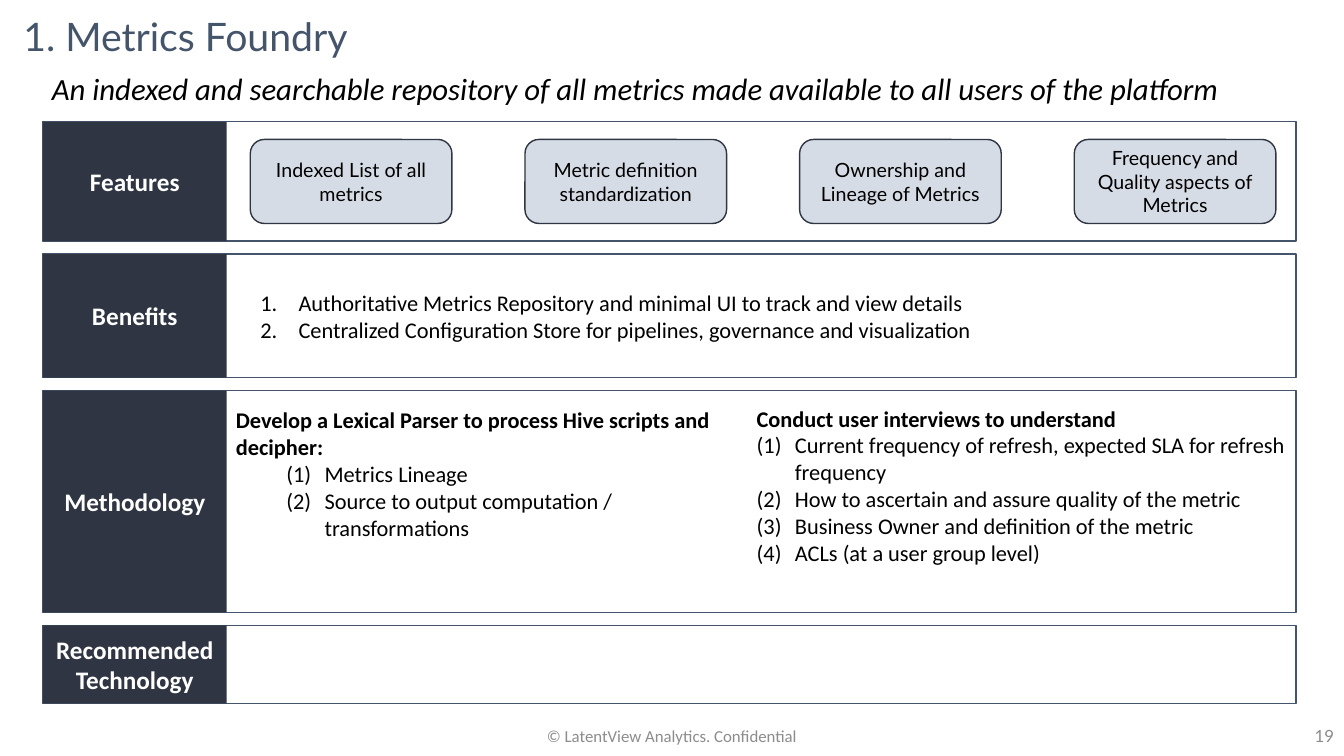
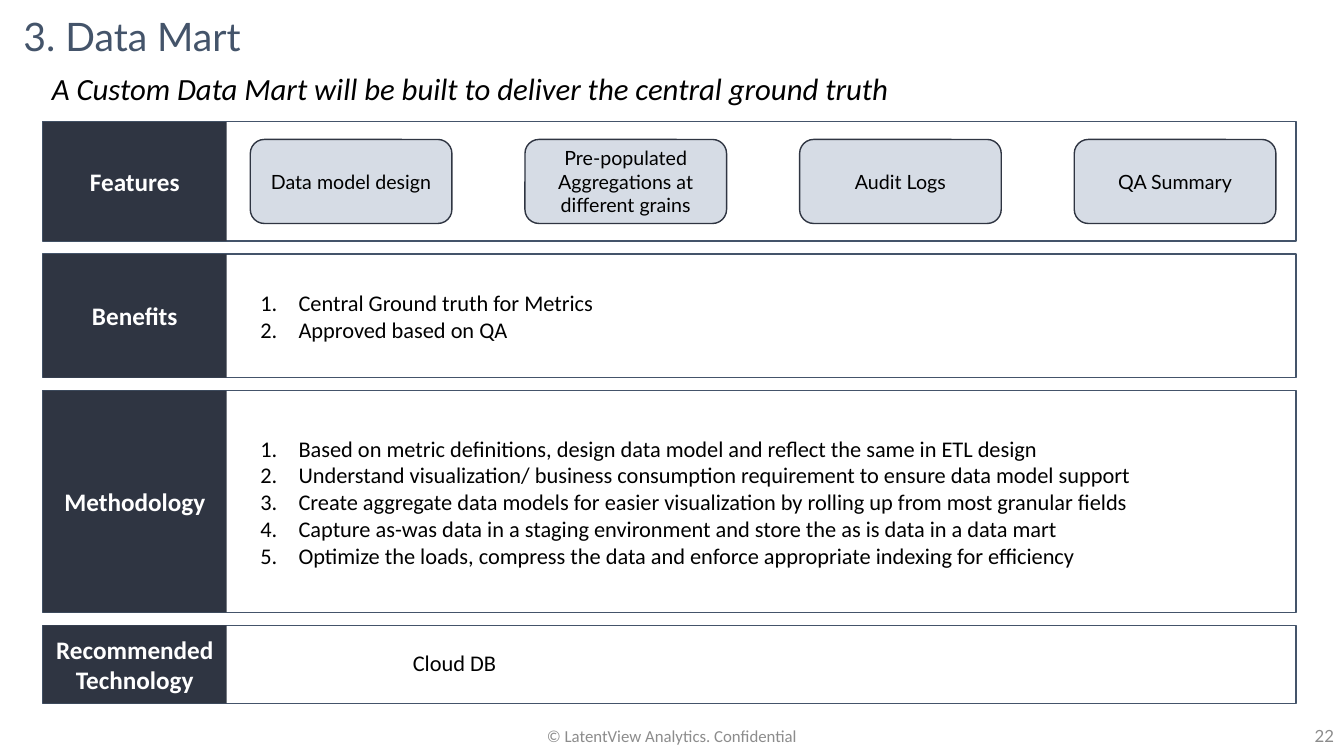
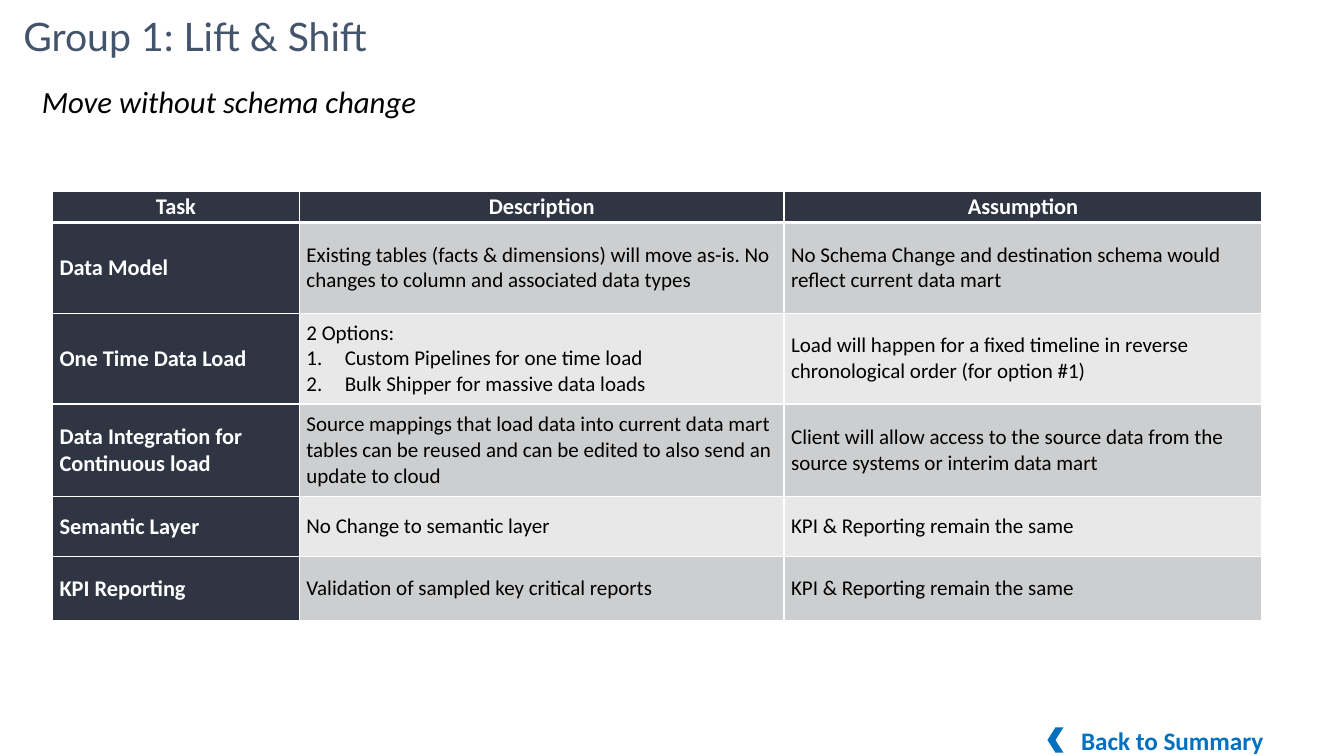
import lxml.etree
import pptx
import pptx.dml.color
import pptx.enum.shapes
import pptx.enum.text
import pptx.oxml.ns
import pptx.util

COLOURS = {
    "title": "44546A", "dark": "2F3542", "chip": "D6DCE5", "text": "000000",
    "white": "FFFFFF", "footer": "8C8C8C", "link": "0070C0",
    "row_odd": "CDCECF", "row_even": "E8E8E9",
}
RGB = {name: pptx.dml.color.RGBColor.from_string(value) for name, value in COLOURS.items()}
SHAPE = pptx.enum.shapes.MSO_SHAPE
ALIGN = pptx.enum.text.PP_ALIGN
ANCHOR = pptx.enum.text.MSO_ANCHOR
qn = pptx.oxml.ns.qn

deck = pptx.Presentation()
deck.slide_width = pptx.util.Inches(13.333)
deck.slide_height = pptx.util.Inches(7.5)
COLUMN = deck.slide_width / 160
ROW = deck.slide_height / 90


def place(slide, kind, left, top, columns, rows, fill=None, line=None):
    area = [round(n) for n in (left * COLUMN, top * ROW, columns * COLUMN, rows * ROW)]
    if kind is None:
        return slide.shapes.add_textbox(*area)
    shape = slide.shapes.add_shape(kind, *area)
    shape.shadow.inherit = False
    if fill:
        shape.fill.solid()
        shape.fill.fore_color.rgb = RGB[fill]
    else:
        shape.fill.background()
    if line:
        shape.line.color.rgb = RGB[line]
        shape.line.width = pptx.util.Pt(1)
    else:
        shape.line.fill.background()
    return shape


def write(frame, lines, size, colour="text", font="Calibri", bold=False, italic=False,
          align=ALIGN.LEFT, anchor=ANCHOR.MIDDLE, numbering=None, lead=0, indent=0.38):
    frame.word_wrap = True
    frame.vertical_anchor = anchor
    for index, line in enumerate(lines):
        paragraph = frame.paragraphs[0] if index == 0 else frame.add_paragraph()
        paragraph.text = line
        paragraph.alignment = align
        if numbering and index >= lead:
            properties = paragraph._p.get_or_add_pPr()
            properties.set("marL", str(pptx.util.Inches(indent)))
            properties.set("indent", str(-pptx.util.Inches(0.38)))
            lxml.etree.SubElement(properties, qn("a:buAutoNum"), type=numbering)
        paragraph.font.name = font
        paragraph.font.size = pptx.util.Pt(size)
        paragraph.font.bold = bold
        paragraph.font.italic = italic
        paragraph.font.color.rgb = RGB[colour]


titles = ["1. Metrics Foundry", "3. Data Mart", "Group 1: Lift & Shift"]
slides = []
for title in titles:
    slide = deck.slides.add_slide(deck.slide_layouts[6])
    heading = place(slide, None, 1.6, 0, 147, 9.2).text_frame
    write(heading, [title], 28, "title", "Lato")
    heading.paragraphs[0].line_spacing = 0.9
    slides.append(slide)

bands = [("Features", 14.2), ("Benefits", 14.7), ("Methodology", 26.4),
         ("Recommended Technology", 9.3)]
BAND_LEFT, BAND_TOP, BAND_GAP = 5.1, 14.5, 1.55

pages = [
    {
        "number": "19",
        "summary": "An indexed and searchable repository of all metrics made available to all users of the platform",
        "features": ["Indexed List of all metrics", "Metric definition standardization",
                     "Ownership and Lineage of Metrics", "Frequency and Quality aspects of Metrics"],
        "benefits": ["Authoritative Metrics Repository and minimal UI to track and view details",
                     "Centralized Configuration Store for pipelines, governance and visualization"],
        "methods": [
            ((26.9, 47.8, 60.8, 17.4),
             ["Develop a Lexical Parser to process Hive scripts and decipher:", "Metrics Lineage",
              "Source to output computation / transformations"],
             {"anchor": ANCHOR.TOP, "numbering": "arabicParenBoth", "lead": 1, "indent": 0.88}),
            ((88.9, 47.6, 65.9, 20.6),
             ["Conduct user interviews to understand",
              "Current frequency of refresh, expected SLA for refresh frequency",
              "How to ascertain and assure quality of the metric",
              "Business Owner and definition of the metric", "ACLs (at a user group level)"],
             {"anchor": ANCHOR.TOP, "numbering": "arabicParenBoth", "lead": 1}),
        ],
        "technology": None,
    },
    {
        "number": "22",
        "summary": "A Custom Data Mart will be built to deliver the central ground truth",
        "features": ["Data model design", "Pre-populated Aggregations at different grains",
                     "Audit Logs", "QA Summary"],
        "benefits": ["Central Ground truth for Metrics", "Approved based on QA"],
        "methods": [
            ((29.8, 47.8, 123.2, 23.9),
             ["Based on metric definitions, design data model and reflect the same in ETL design",
              "Understand visualization/ business consumption requirement to ensure data model support",
              "Create aggregate data models for easier visualization by rolling up from most granular fields",
              "Capture as-was data in a staging environment and store the as is data in a data mart",
              "Optimize the loads, compress the data and enforce appropriate indexing for efficiency"],
             {"numbering": "arabicPeriod"}),
        ],
        "technology": "Cloud DB",
    },
]

for slide, page in zip(slides, pages):
    summary = place(slide, None, 5, 7.7, 142, 4.8)
    write(summary.text_frame, [page["summary"]], 22, italic=True, anchor=ANCHOR.TOP)

    top = BAND_TOP
    for label, height in bands:
        place(slide, SHAPE.RECTANGLE, BAND_LEFT, top, 149.2, height, line="title")
        tab = place(slide, SHAPE.RECTANGLE, BAND_LEFT, top, 21.9, height, "dark")
        write(tab.text_frame, [label], 18, "white", bold=True, align=ALIGN.CENTER)
        top += height + BAND_GAP

    for index, feature in enumerate(page["features"]):
        chip = place(slide, SHAPE.ROUNDED_RECTANGLE, 29.8 + 32.7 * index, 16.6, 24, 10,
                     "chip", "dark")
        write(chip.text_frame, [feature], 14, font="Lato", align=ALIGN.CENTER)

    benefits = place(slide, None, 29.8, 31.9, 123.2, 11.4)
    write(benefits.text_frame, page["benefits"], 16, numbering="arabicPeriod")

    for area, steps, layout in page["methods"]:
        method = place(slide, None, *area).text_frame
        write(method, steps, 16, **layout)
        method.paragraphs[0].font.bold = "lead" in layout

    if page["technology"]:
        technology = place(slide, None, 42.8, 76.7, 22.6, 4.4)
        write(technology.text_frame, [page["technology"]], 16, align=ALIGN.CENTER,
              anchor=ANCHOR.TOP)

    page_number = place(slide, None, 124, 85.2, 36, 4.8)
    write(page_number.text_frame, [page["number"]], 12, "footer", "Lato", align=ALIGN.RIGHT)
    copyright_line = place(slide, None, 53, 85.2, 54, 4.8)
    write(copyright_line.text_frame, ["© LatentView Analytics. Confidential"], 12, "footer",
          align=ALIGN.CENTER)

migration = slides[2]
summary = place(migration, None, 3.8, 9.2, 142.3, 5.6)
write(summary.text_frame, ["Move without schema change"], 22, italic=True, anchor=ANCHOR.TOP)

tasks = [
    (["Task"], ["Description"], ["Assumption"]),
    (["Data Model"],
     ["Existing tables (facts & dimensions) will move as-is. No changes to column and associated data types"],
     ["No Schema Change and destination schema would reflect current data mart"]),
    (["One Time Data Load"],
     ["2 Options:", "Custom Pipelines for one time load", "Bulk Shipper for massive data loads"],
     ["Load will happen for a fixed timeline in reverse chronological order (for option #1)"]),
    (["Data Integration for Continuous load"],
     ["Source mappings that load data into current data mart tables can be reused and can be edited to also send an update to cloud"],
     ["Client will allow access to the source data from the source systems or interim data mart"]),
    (["Semantic Layer"], ["No Change to semantic layer"], ["KPI & Reporting remain the same"]),
    (["KPI Reporting"], ["Validation of sampled key critical reports"],
     ["KPI & Reporting remain the same"]),
]
column_spans = [29.4, 57.7, 56.9]
row_spans = [3.7, 10.8, 10.8, 11, 7.2, 7.6]
plan = migration.shapes.add_table(
    len(row_spans), len(column_spans), round(6.25 * COLUMN), round(22.8 * ROW),
    round(sum(column_spans) * COLUMN), round(sum(row_spans) * ROW)).table
for column, span in zip(plan.columns, column_spans):
    column.width = round(span * COLUMN)
for row, span in zip(plan.rows, row_spans):
    row.height = round(span * ROW)

for r, task in enumerate(tasks):
    for c, lines in enumerate(task):
        cell = plan.cell(r, c)
        is_label = r == 0 or c == 0
        cell.margin_left = cell.margin_right = pptx.util.Inches(0.07)
        cell.margin_top = cell.margin_bottom = 0
        cell.vertical_anchor = ANCHOR.MIDDLE
        write(cell.text_frame, lines, 16 if is_label else 15, "white" if is_label else "text",
              bold=is_label, align=ALIGN.CENTER if r == 0 else ALIGN.LEFT,
              numbering="arabicPeriod" if len(lines) > 1 else None, lead=1)
        properties = cell._tc.get_or_add_tcPr()
        for side in ("lnL", "lnR", "lnT", "lnB"):
            below_header = (r, side) in ((0, "lnB"), (1, "lnT"))
            border = lxml.etree.SubElement(properties, qn("a:" + side),
                                           w=str(pptx.util.Pt(3 if below_header else 1)))
            paint = lxml.etree.SubElement(border, qn("a:solidFill"))
            lxml.etree.SubElement(paint, qn("a:srgbClr"), val=COLOURS["white"])
        cell.fill.solid()
        cell.fill.fore_color.rgb = RGB["dark" if is_label else "row_odd" if r % 2 else "row_even"]

back_label = place(migration, None, 126.6, 85.8, 25, 4.7)
write(back_label.text_frame, ["Back to Summary"], 18, "link", bold=True, align=ALIGN.RIGHT)
back_arrow = place(migration, SHAPE.CHEVRON, 124.7, 86.6, 1.9, 3, "link")
back_arrow.rotation = 180

deck.save("out.pptx")
